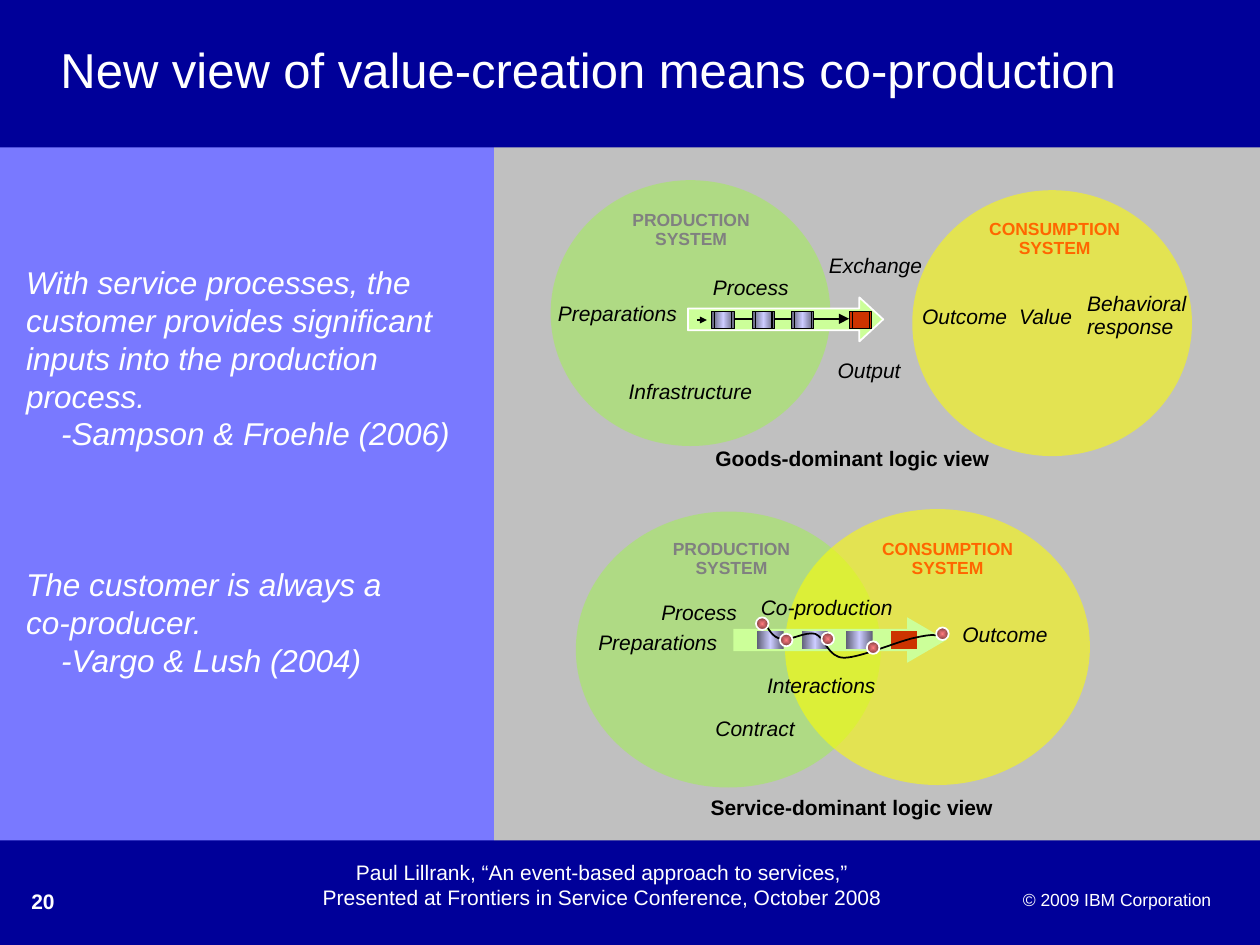
from lxml import etree
from pptx import Presentation
from pptx import util as u
from pptx.dml.color import RGBColor
from pptx.enum import shapes, text
from pptx.oxml import parse_xml
from pptx.oxml.ns import nsdecls, qn

CELL = 0.1  # the slide is a grid of 100 columns by 75 rows
SLACK = 1  # spare columns that keep a label on its line
HEX = {
    "grey": "C0C0C0", "navy": "000099", "blue": "7979FF", "white": "FFFFFF",
    "black": "000000", "green": "99FF33", "yellow": "FFFF00", "lime": "CCFF99",
    "red": "CC3300", "dim": "808080", "orange": "FF6600",
    "steel": "5E5E76", "mist": "CCCCFF", "pink": "FF7C80", "wine": "76393B",
}
FORM = shapes.MSO_SHAPE
LEFT, MID, RIGHT = text.PP_ALIGN.LEFT, text.PP_ALIGN.CENTER, text.PP_ALIGN.RIGHT
SHIFT = {LEFT: 0, MID: SLACK / 2, RIGHT: SLACK}
STEEL = [(0, "steel"), (50, "mist"), (100, "steel")]
PINK = [(0, "pink"), (100, "wine")]


def grid(*cells):
    return [u.Inches(round(c * CELL, 3)) for c in cells]


def rgb(name):
    return RGBColor.from_string(HEX[name])


def blend(item, stops, shade):
    """Fill with a gradient of (percent, colour) stops."""
    item.fill.gradient()
    grad = item._element.spPr.find(qn("a:gradFill"))
    for child in list(grad):
        grad.remove(child)
    marks = "".join(
        f'<a:gs pos="{at * 1000}"><a:srgbClr val="{HEX[name]}"/></a:gs>'
        for at, name in stops)
    grad.append(parse_xml(f'<a:gsLst {nsdecls("a")}>{marks}</a:gsLst>'))
    grad.append(parse_xml(shade))


def edge(item, color, width):
    if color:
        item.line.color.rgb = rgb(color)
        item.line.width = u.Pt(width)
    else:
        item.line.fill.background()


def shape(slide, form, box, fill=None, line=None, width=1, alpha=None):
    item = slide.shapes.add_shape(form, *grid(*box))
    item.shadow.inherit = False
    if fill:
        item.fill.solid()
        item.fill.fore_color.rgb = rgb(fill)
    if alpha:
        tint = item._element.spPr.find(qn("a:solidFill"))[0]
        etree.SubElement(tint, qn("a:alpha")).set("val", str(alpha * 1000))
    edge(item, line, width)
    return item


def block(slide, box, fill, line=None):
    """One step of the process, steel or in a plain colour."""
    plain = None if fill == "steel" else fill
    item = shape(slide, FORM.FLOWCHART_PREDEFINED_PROCESS, box, plain, line, 0.62)
    if not plain:
        blend(item, STEEL, f'<a:lin {nsdecls("a")} ang="0" scaled="1"/>')


def dot(slide, x, y):
    item = shape(slide, FORM.OVAL, (x, y, 1, 1), line="white")
    blend(item, PINK, f'<a:path {nsdecls("a")} path="rect"><a:fillToRect '
          'l="50000" t="50000" r="50000" b="50000"/></a:path>')


def thick(slide, box, adjust, line=None):
    item = shape(slide, FORM.RIGHT_ARROW, box, "lime", line)
    item.adjustments[0], item.adjustments[1] = adjust


def arrow(slide, x, y, end, size="med"):
    item = slide.shapes.add_connector(
        shapes.MSO_CONNECTOR.STRAIGHT, *grid(x, y, end, y))
    edge(item, "black", 1)
    head = etree.SubElement(item.line._get_or_add_ln(), qn("a:tailEnd"))
    for key, value in (("type", "triangle"), ("w", size), ("len", size)):
        head.set(key, value)
    etree.SubElement(item._element.spPr, qn("a:effectLst"))


def curve(slide, start, points):
    """A line of cubic curves, three points to each."""
    pen = slide.shapes.build_freeform(*grid(*start), scale=1.0)
    pen.add_line_segments([grid(*p) for p in points], close=False)
    item = pen.convert_to_shape()
    item.shadow.inherit = False
    item.fill.background()
    edge(item, "black", 1)
    lines = list(item._element.iter(qn("a:lnTo")))
    for i in range(0, len(lines), 3):
        bend = etree.Element(qn("a:cubicBezTo"))
        lines[i].addprevious(bend)
        for part in lines[i:i + 3]:
            bend.append(part[0])
            part.getparent().remove(part)


def style(frame, size, color, bold=False, ital=False, align=LEFT, space=None):
    frame.word_wrap = True
    frame.auto_size = text.MSO_AUTO_SIZE.NONE
    frame.vertical_anchor = text.MSO_ANCHOR.TOP
    for para in frame.paragraphs:
        para.alignment = align
        para.line_spacing = space
        for run in para.runs:
            font = run.font
            font.name, font.size = "Arial", u.Pt(size)
            font.bold, font.italic = bold, ital
            font.color.rgb = rgb(color)


def words(slide, box, copy, size=12, color="black", align=LEFT, **look):
    x, y, w, h = box
    place = grid(x - SHIFT[align], y, w + SLACK, h)
    frame = slide.shapes.add_textbox(*place).text_frame
    frame.text = copy
    style(frame, size, color, align=align, **look)
    return frame


def labels(slide, items):
    for copy, x, y, w in items:
        high = 2.8 + 1.8 * copy.count("\n")
        words(slide, (x, y, w, high), copy, ital=True, space=0.9)


def system(slide, box, fill, alpha):
    shape(slide, FORM.OVAL, box, fill, alpha=alpha)


def heads(slide, make, use):
    """Names of the two systems, each at its (column, row)."""
    for copy, (x, y), w, color in (("PRODUCTION", make, 11.3, "dim"),
                                   ("CONSUMPTION", use, 12.4, "orange")):
        words(slide, (x, y, w, 4), copy + "\nSYSTEM", 10, color,
              bold=True, align=MID, space=0.9)


def title(slide, copy):
    item = slide.shapes.title
    item.left, item.top, item.width, item.height = grid(3.8, 3.2, 88.3, 4.1)
    item.text_frame.text = copy
    style(item.text_frame, 28, "white", space=0.9)
    slide.shapes._spTree.append(item._element)


def goods(slide):
    system(slide, (43.7, 14.3, 22.2, 21.1), "green", 42)
    system(slide, (72.4, 15.1, 22.2, 21.1), "yellow", 57)
    thick(slide, (54.6, 23.6, 15.5, 3.5), (0.498, 0.542), "white")
    arrow(slide, 58.3, 25.3, 67.4)
    for x, fill in ((56.5, "steel"), (59.7, "steel"), (62.8, "steel"), (67.4, "red")):
        block(slide, (x, 24.7, 1.8, 1.4), fill, "black")
    arrow(slide, 55.3, 25.4, 56.1, "sm")
    labels(slide, [
        ("Preparations", 43.3, 23.6, 11.4), ("Process", 55.6, 21.5, 8),
        ("Infrastructure", 48.9, 29.8, 11.8), ("Output", 65.5, 28.1, 7),
        ("Outcome", 72.2, 23.8, 8.7), ("Value", 79.9, 23.8, 6.2),
        ("Exchange", 64.8, 19.8, 9.4), ("Behavioral\nresponse", 85.3, 22.8, 9.9)])
    heads(slide, (49.2, 16.3), (77.5, 17))
    words(slide, (55.8, 34.9, 23.7, 3), "Goods-dominant logic view", bold=True, align=MID)


def service(slide):
    system(slide, (45.7, 40.6, 24.2, 21.9), "green", 42)
    system(slide, (62.3, 40.4, 24.2, 21.9), "yellow", 57)
    thick(slide, (58.2, 49, 16.9, 3.6), (0.496, 0.861))
    for i, fill in enumerate(("steel", "steel", "steel", "red")):
        block(slide, (60.1 + 3.53 * i, 50.1, 2.1, 1.4), fill)
    labels(slide, [
        ("Preparations", 46.5, 49.7, 11.4), ("Process", 51.5, 47.3, 8),
        ("Co-production", 59.4, 46.9, 12.4), ("Outcome", 75.4, 49.1, 8.7),
        ("Contract", 55.8, 56.5, 8.3), ("Interactions", 59.9, 53.1, 10.6)])
    heads(slide, (52.4, 42.4), (69, 42.4))
    curve(slide, (60.6, 49.3), [
        (61, 49.9), (61.3, 50.6), (62, 50.7), (62.7, 50.9), (63.9, 50.1),
        (64.7, 50.3), (65.5, 50.6), (65.7, 52.2), (67, 52.2), (68.3, 52.2),
        (71.5, 50.8), (72.7, 50.6), (74, 50.3), (74.3, 50.4), (74.6, 50.5)])
    for x, y in ((60, 49), (61.9, 50.3), (68.8, 50.9), (65.2, 50.2), (74.3, 49.8)):
        dot(slide, x, y)
    words(slide, (55.4, 62.6, 24.4, 3), "Service-dominant logic view", bold=True, align=MID)


def quotes(slide):
    frame = words(slide, (1.1, 20.4, 37.6, 34), "\n".join([
        "With service processes, the customer provides significant inputs "
        "into the production process.",
        "-Sampson & Froehle (2006)", "The customer is always a",
        "co-producer.", "-Vargo & Lush (2004)"]), 18, "white", ital=True)
    for para in frame.paragraphs:
        if para.text.startswith("-"):
            para._p.get_or_add_pPr().set("marL", str(u.Pt(20)))
    frame.paragraphs[2].space_before = u.Pt(64.5)


def main():
    deck = Presentation()
    deck.slide_width, deck.slide_height = grid(100, 75)
    slide = deck.slides.add_slide(deck.slide_layouts[5])
    slide.background.fill.solid()
    slide.background.fill.fore_color.rgb = rgb("grey")
    for box, fill in (((0, 4.2, 39.2, 67.5), "blue"), ((0, 0, 100, 11.7), "navy"),
                      ((0, 66.7, 100, 8.3), "navy")):
        shape(slide, FORM.RECTANGLE, box, fill)
    title(slide, "New view of value-creation means co-production")
    goods(slide)
    service(slide)
    quotes(slide)
    words(slide, (1.5, 70, 11, 3.5), "20", color="white", bold=True)
    words(slide, (24.6, 67.7, 46.4, 5),
          "Paul Lillrank, “An event-based approach to services,”\n"
          "Presented at Frontiers in Service Conference, October 2008",
          color="white", align=MID)
    words(slide, (80.2, 70.1, 16.9, 2.7), "© 2009 IBM Corporation", 10, "white",
          align=RIGHT)
    deck.save("out.pptx")


if __name__ == "__main__":
    main()
